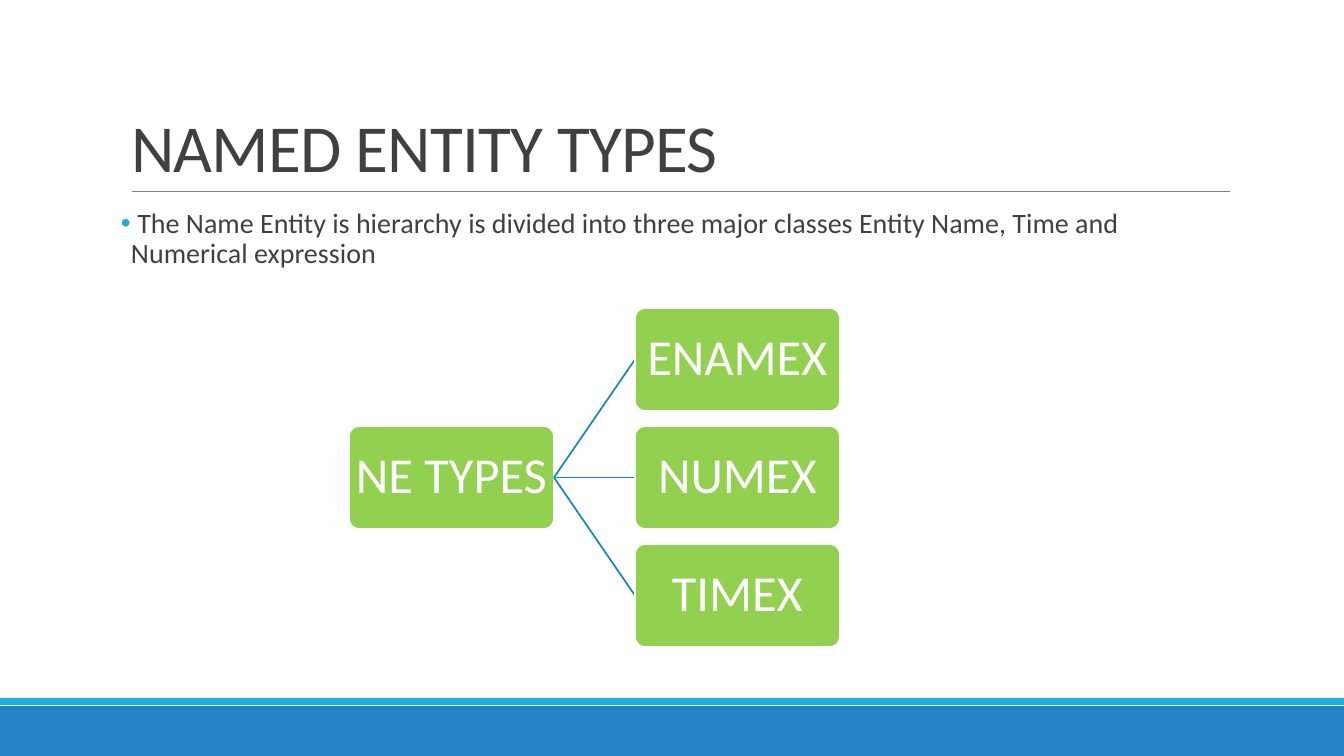
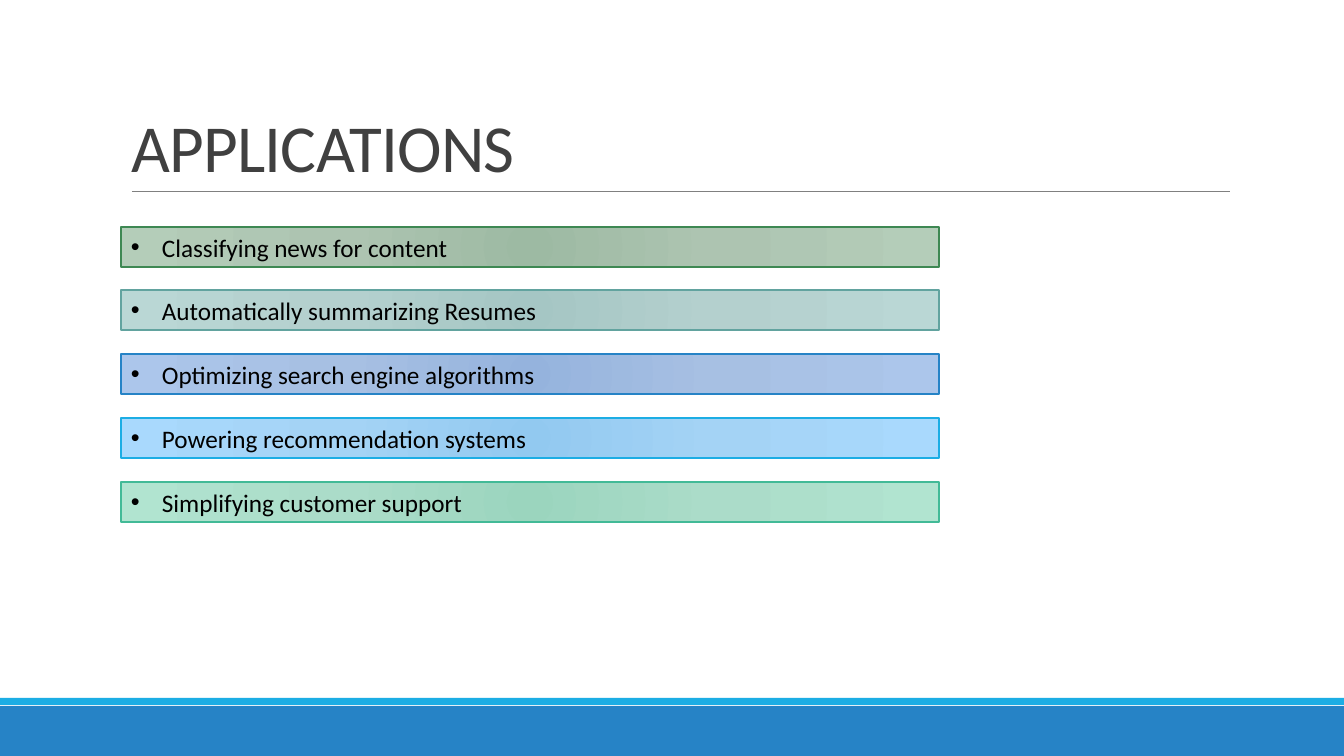
from lxml import etree
from pptx import Presentation, util as u
from pptx.dml.color import RGBColor
from pptx.enum import shapes, text
from pptx.oxml import parse_xml
from pptx.oxml.ns import nsdecls, qn

SCALE = 12192000 / 1344
FONT = "Calibri"
C = {
    "blue": "2683C6", "cyan": "1CADE4", "rule": "808080", "ink": "404040",
    "green": "92D050", "branch": "168BB7", "white": "FFFFFF", "black": "000000",
}


def px(*lengths):
    """Turn px into a list of EMU."""
    return [u.Emu(round(n * SCALE)) for n in lengths]


def style_text(p, size, color, bullet_color=None, indent=0):
    """Format a paragraph's runs; an indent also gives it a hanging bullet."""
    for r in p.runs:
        r.font.name, r.font.size = FONT, u.Pt(size)
        r.font.color.rgb = RGBColor.from_string(color)
    if indent:
        pPr = p._p.get_or_add_pPr()
        margin = px(indent)[0]
        pPr.set("marL", str(margin))
        pPr.set("indent", str(-margin))
        clr = etree.SubElement(pPr, qn("a:buClr"))
        etree.SubElement(clr, qn("a:srgbClr"), val=bullet_color)
        etree.SubElement(pPr, qn("a:buFont"), typeface="Arial")
        etree.SubElement(pPr, qn("a:buChar"), char="•")


prs = Presentation()
prs.slide_width, prs.slide_height = px(1344, 756)

# Shared frame: bands, title and the rule below it
slides = []
for title in ("NAMED ENTITY TYPES", "APPLICATIONS"):
    s = prs.slides.add_slide(prs.slide_layouts[5])
    slides.append(s)
    for top, height, color in ((706, 50, "blue"), (698, 7, "cyan")):
        band = s.shapes.add_shape(shapes.MSO_SHAPE.RECTANGLE, *px(0, top, 1344, height))
        band.shadow.inherit = False
        band.fill.solid()
        band.fill.fore_color.rgb = RGBColor.from_string(C[color])
        band.line.fill.background()
    sp = s.shapes.title
    sp.left, sp.top, sp.width, sp.height = px(121, 31, 1109, 160)
    tf = sp.text_frame
    tf.text = title
    tf.auto_size = text.MSO_AUTO_SIZE.NONE
    tf.vertical_anchor = text.MSO_ANCHOR.BOTTOM
    p = tf.paragraphs[0]
    p.alignment, p.line_spacing = text.PP_ALIGN.LEFT, 0.85
    style_text(p, 48, C["ink"])
    p.runs[0].font._element.set("spc", "-50")

    rule = s.shapes.add_connector(shapes.MSO_CONNECTOR.STRAIGHT, *px(132, 191, 1230, 191))
    rule.line.width = u.Pt(0.5)
    rule.line.color.rgb = RGBColor.from_string(C["rule"])
    etree.SubElement(rule._element.spPr, qn("a:effectLst"))

# Slide 1: sentence and tree
s = slides[0]
tf = s.shapes.add_textbox(*px(121, 204, 1109, 443)).text_frame
tf.word_wrap = True
tf.margin_left = tf.margin_right = 0
tf.margin_top = tf.margin_bottom = px(5)[0]
tf.text = (" The Name Entity is hierarchy is divided into three major classes "
           "Entity Name, Time and Numerical expression")
p = tf.paragraphs[0]
p.line_spacing, p.space_before, p.space_after = 0.9, u.Pt(12), u.Pt(2)
style_text(p, 20, C["ink"], C["cyan"], 10)

BOX_W, BOX_H = 205, 103
ROOT_X, CHILD_X, TREE_Y, PITCH = 349, 635, 308, 118
root_y = TREE_Y + PITCH
nodes = [("NE TYPES", ROOT_X, root_y)]
nodes += [(name, CHILD_X, TREE_Y + i * PITCH)
          for i, name in enumerate(("ENAMEX", "NUMEX", "TIMEX"))]
for name, x, y in nodes:
    if x == CHILD_X:
        branch = s.shapes.add_connector(
            shapes.MSO_CONNECTOR.STRAIGHT,
            *px(ROOT_X + BOX_W, root_y + BOX_H / 2, CHILD_X, y + BOX_H / 2))
        branch.line.width = u.Pt(1.25)
        branch.line.color.rgb = RGBColor.from_string(C["branch"])
        etree.SubElement(branch._element.spPr, qn("a:effectLst"))
    box = s.shapes.add_shape(shapes.MSO_SHAPE.ROUNDED_RECTANGLE, *px(x, y, BOX_W, BOX_H))
    box.adjustments[0] = 0.1
    box.shadow.inherit = False
    box.fill.solid()
    box.fill.fore_color.rgb = RGBColor.from_string(C["green"])
    box.line.width = u.Pt(1.25)
    box.line.color.rgb = RGBColor.from_string(C["white"])
    tf = box.text_frame
    tf.margin_left = tf.margin_right = tf.margin_top = tf.margin_bottom = px(6)[0]
    tf.word_wrap = False
    tf.vertical_anchor = text.MSO_ANCHOR.MIDDLE
    tf.text = name
    p = tf.paragraphs[0]
    p.alignment, p.line_spacing = text.PP_ALIGN.CENTER, 0.9
    style_text(p, 36, C["white"])

# Slide 2: bars, each with its line colour and gradient from centre to edge
s = slides[1]
bars = (
    ("Classifying news for content", "3E8853", ("9DBAA3", "ADC4B1", "B4CDB9")),
    ("Automatically summarizing Resumes", "62A39F", ("A5C6C4", "B4D0CE", "BAD7D5")),
    ("Optimizing search engine algorithms", C["blue"], ("95B3DD", "A7C0E3", "ACC6EB")),
    ("Powering recommendation systems", C["cyan"], ("92C9F0", "A4D3F5", "A9D9FD")),
    ("Simplifying customer support", "42BA97", ("9BD5BE", "ABDCC9", "B1E4D0")),
)
BAR_Y, BAR_SPAN = 227, 255
for i, (label, outline, colors) in enumerate(bars):
    y = BAR_Y + BAR_SPAN * i // (len(bars) - 1)
    bar = s.shapes.add_shape(shapes.MSO_SHAPE.RECTANGLE, *px(121, y, 818, 40))
    bar.shadow.inherit = False
    bar.line.width = u.Pt(1)
    bar.line.color.rgb = RGBColor.from_string(outline)
    bar.fill.background()
    stops = "".join(f'<a:gs pos="{pos}"><a:srgbClr val="{color}"/></a:gs>'
                    for pos, color in zip((0, 45000, 100000), colors))
    spPr = bar._element.spPr
    spPr.replace(spPr.find(qn("a:noFill")), parse_xml(
        f'<a:gradFill {nsdecls("a")} rotWithShape="1"><a:gsLst>{stops}</a:gsLst>'
        '<a:path path="circle"><a:fillToRect l="100000" t="100000" r="100000" b="100000"/>'
        '</a:path></a:gradFill>'))
    tf = bar.text_frame
    tf.word_wrap = True
    tf.vertical_anchor = text.MSO_ANCHOR.MIDDLE
    tf.text = label
    p = tf.paragraphs[0]
    p.alignment = text.PP_ALIGN.LEFT
    style_text(p, 18, C["black"], C["black"], 31)

prs.save("out.pptx")
